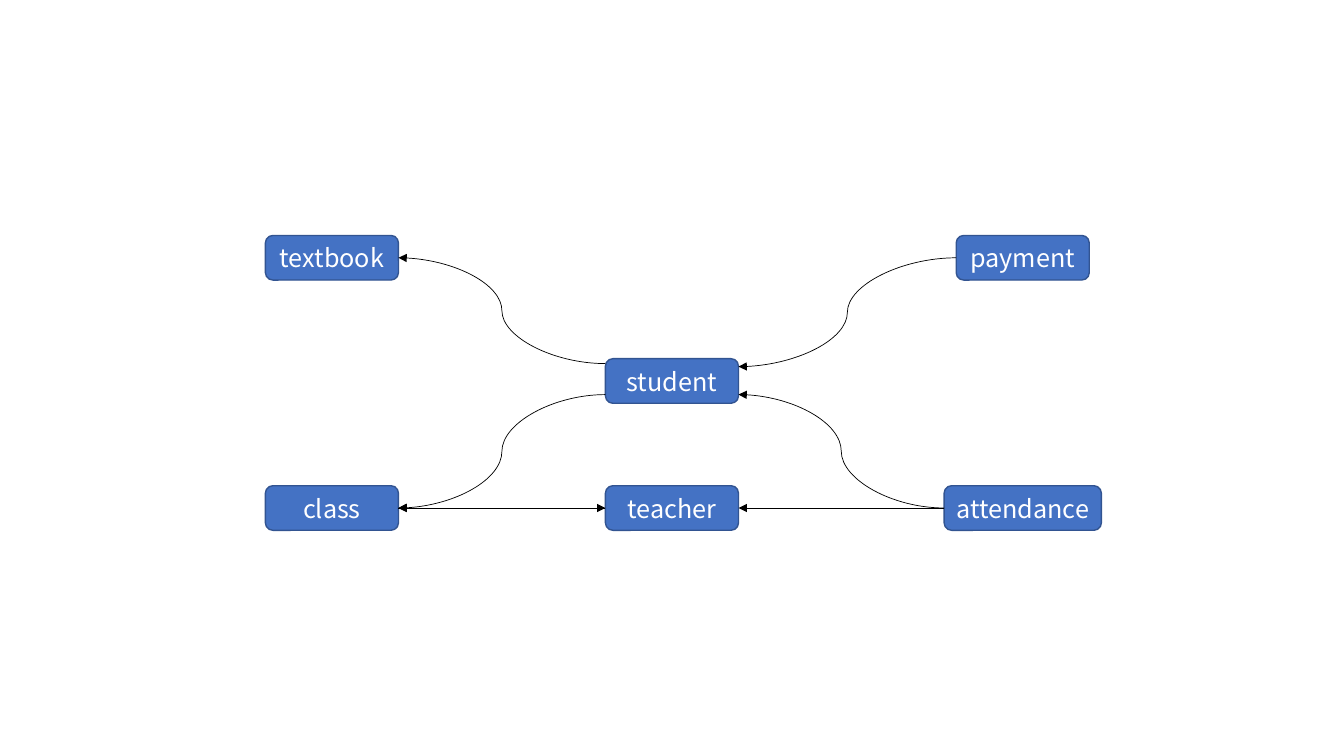
from lxml.etree import SubElement
from pptx import Presentation
from pptx.dml.color import RGBColor
from pptx.enum.shapes import MSO_CONNECTOR as LINK, MSO_SHAPE
from pptx.enum.text import MSO_ANCHOR, PP_ALIGN
from pptx.oxml.ns import qn
from pptx.util import Inches, Pt

BLUE = RGBColor(0x44, 0x72, 0xC4)
DARK_BLUE = RGBColor(0x32, 0x54, 0x91)
WHITE = RGBColor(0xFF, 0xFF, 0xFF)
BLACK = RGBColor(0, 0, 0)
FONT = "Noto Sans CJK KR"

# The diagram's box is divided into 100 columns and 100 rows.
GRID = 100
LEFT, MIDDLE, RIGHT = 24.7, 50, 76.1
TOP, CENTRE, BOTTOM = 34.1, 50.4, 67.2
ENTITY_WIDTH, WIDE_ENTITY, ENTITY_HEIGHT = 9.9, 11.7, 5.9

ENTITIES = {
    "student": (MIDDLE, CENTRE, ENTITY_WIDTH),
    "payment": (RIGHT, TOP, ENTITY_WIDTH),
    "textbook": (LEFT, TOP, ENTITY_WIDTH),
    "teacher": (MIDDLE, BOTTOM, ENTITY_WIDTH),
    "class": (LEFT, BOTTOM, ENTITY_WIDTH),
    "attendance": (RIGHT, BOTTOM, WIDE_ENTITY),
}
# Source, target, rows by which the link misses the student's mid-height
RELATIONS = [
    ("student", "textbook", -2.3),
    ("student", "class", 1.8),
    ("payment", "student", -1.9),
    ("attendance", "student", 1.8),
    ("attendance", "teacher", 0),
    ("teacher", "class", 0),
    ("class", "teacher", 0),
]


def add_entity(slide, name, left, top, width, height):
    """Draw one named entity as a rounded rectangle."""
    entity = slide.shapes.add_shape(
        MSO_SHAPE.ROUNDED_RECTANGLE, left, top, width, height)
    entity.shadow.inherit = False
    entity.fill.solid()
    entity.fill.fore_color.rgb = BLUE
    entity.line.color.rgb = DARK_BLUE
    entity.line.width = Pt(1)
    label = entity.text_frame
    label.text = name
    label.word_wrap = False
    label.vertical_anchor = MSO_ANCHOR.MIDDLE
    paragraph = label.paragraphs[0]
    paragraph.alignment = PP_ALIGN.CENTER
    font = paragraph.runs[0].font
    font.name, font.size = FONT, Pt(18)
    font.color.rgb = WHITE


def add_relation(slide, kind, start, end):
    """Draw a thin link with an arrowhead at its end."""
    relation = slide.shapes.add_connector(kind, *start, *end)
    relation.line.color.rgb = BLACK
    relation.line.width = Pt(0.5)
    SubElement(relation.line._get_or_add_ln(), qn("a:tailEnd"), type="triangle")
    SubElement(relation._element.spPr, qn("a:effectLst"))


def add_entity_diagram(slide, left, top, width, height):
    """Place the entities and their relations in the given box."""
    column, row = width / GRID, height / GRID

    def point(x, y):
        """Turn a grid position into slide coordinates."""
        return round(left + x * column), round(top + y * row)

    def port(name, other, offset):
        """Find the side point of an entity that faces another one."""
        x, y, entity_width = ENTITIES[name]
        side = 1 if ENTITIES[other][0] > x else -1
        shift = offset if name == "student" else 0
        return point(x + side * entity_width / 2, y + shift)

    for name, (x, y, entity_width) in ENTITIES.items():
        corner = point(x - entity_width / 2, y - ENTITY_HEIGHT / 2)
        add_entity(slide, name, *corner,
                   round(entity_width * column), round(ENTITY_HEIGHT * row))
    for source, target, offset in RELATIONS:
        kind = LINK.CURVE if offset else LINK.STRAIGHT
        add_relation(slide, kind, port(source, target, offset),
                     port(target, source, offset))


presentation = Presentation()
presentation.slide_width = Inches(13.33)
presentation.slide_height = Inches(7.5)
diagram_slide = presentation.slides.add_slide(presentation.slide_layouts[6])
add_entity_diagram(diagram_slide, 0, 0,
                   presentation.slide_width, presentation.slide_height)
presentation.save("out.pptx")
